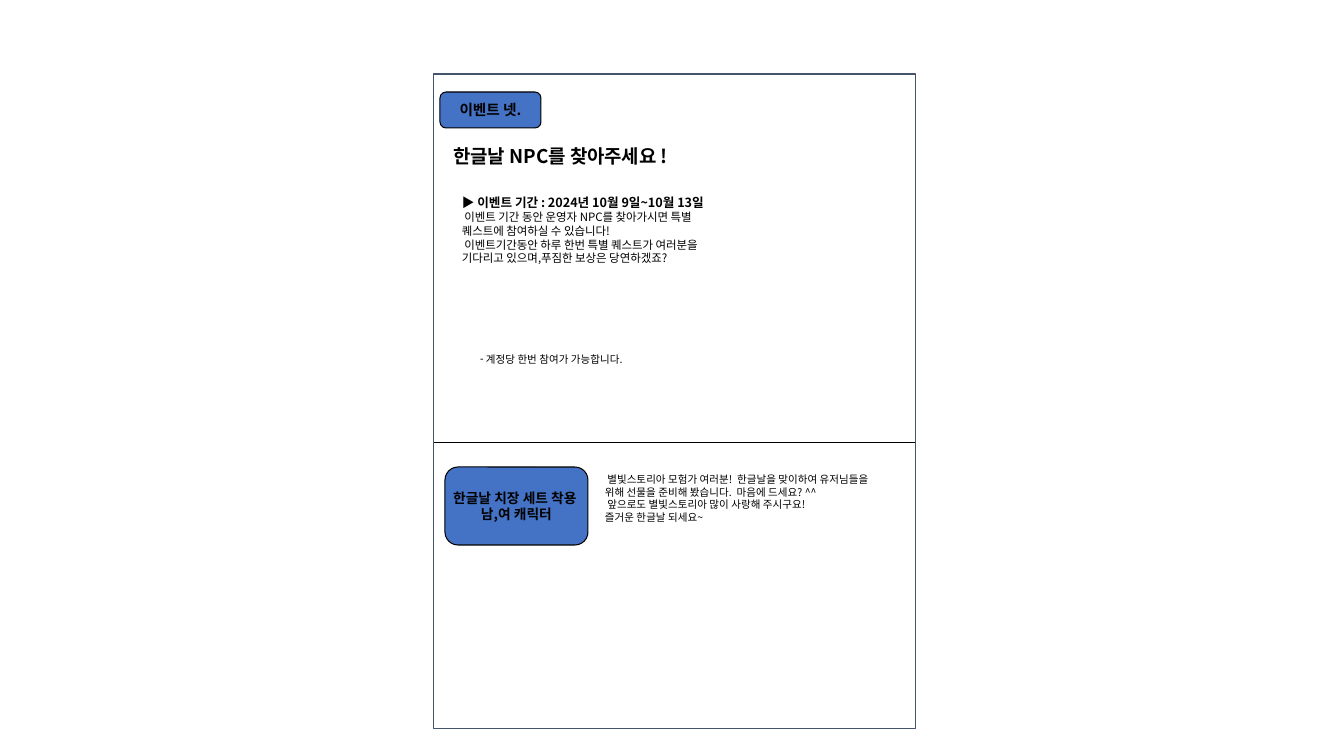
from lxml import etree
from pptx import Presentation
from pptx.dml.color import RGBColor
from pptx.enum.shapes import MSO_CONNECTOR, MSO_SHAPE
from pptx.enum.text import MSO_ANCHOR, MSO_AUTO_SIZE, PP_ALIGN
from pptx.oxml.ns import qn
from pptx.util import Pt

PX = 914400 / 100.8
FONT = "Noto Sans CJK KR"
BLACK = RGBColor(0, 0, 0)
BLUE = RGBColor(0x44, 0x72, 0xC4)
SLATE = RGBColor(0x44, 0x54, 0x6A)
LEFT, CENTER = PP_ALIGN.LEFT, PP_ALIGN.CENTER
TOP, MIDDLE = MSO_ANCHOR.TOP, MSO_ANCHOR.MIDDLE
RECTANGLE, ROUNDED = MSO_SHAPE.RECTANGLE, MSO_SHAPE.ROUNDED_RECTANGLE


def px(*lengths):
    return [round(length * PX) for length in lengths]


def write(box, lines, align=LEFT, anchor=TOP, wrap=True):
    """Fill a box with (text, size, bold) lines, one paragraph each."""
    frame = box.text_frame
    frame.word_wrap = wrap
    frame.auto_size = MSO_AUTO_SIZE.NONE
    frame.vertical_anchor = anchor
    frame.text = "\n".join(text for text, size, bold in lines)
    for para, (text, size, bold) in zip(frame.paragraphs, lines):
        para.alignment = align
        para.space_before = Pt(0)
        para.font.size = Pt(size)
        para.font.bold = bold
        para.font.color.rgb = BLACK
        para.font.name = FONT
        east_asian = etree.SubElement(para._p.pPr.find(qn("a:defRPr")), qn("a:ea"))
        east_asian.set("typeface", FONT)


deck = Presentation()
deck.slide_width, deck.slide_height = px(1344, 756)
page = deck.slides.add_slide(deck.slide_layouts[1])
title, note = page.placeholders

# Frame and divider
border = page.shapes.add_shape(RECTANGLE, *px(434, 74, 482, 655))
border.shadow.inherit = False
border.fill.background()
border.line.color.rgb = SLATE
border.line.width = Pt(0.75)

divider = page.shapes.add_connector(MSO_CONNECTOR.STRAIGHT, *px(434, 443, 915, 443))
divider.line.color.rgb = BLACK
divider.line.width = Pt(0.75)
etree.SubElement(divider._element.spPr, qn("a:effectLst"))

# Blue labels
labels = [
    ((440, 92, 101, 36), 10.5, ["이벤트 넷."]),
    ((445, 467, 143, 78), 9.8, ["한글날 치장 세트 착용 ", "남,여 캐릭터"]),
]
for place, size, texts in labels:
    label = page.shapes.add_shape(ROUNDED, *px(*place))
    label.shadow.inherit = False
    label.fill.solid()
    label.fill.fore_color.rgb = BLUE
    label.line.color.rgb = BLACK
    label.line.width = Pt(0.75)
    write(label, [(text, size, True) for text in texts], CENTER, MIDDLE, False)

# Event title and participation rule
title.left, title.top, title.width, title.height = px(439, 140, 471, 33)
write(title, [(" 한글날 NPC를 찾아주세요 !", 13.5, True)])

note.left, note.top, note.width, note.height = px(470, 348, 440, 23)
write(note, [(" 계정당 한번 참여가 가능합니다.", 7.5, False)])
note_format = note.text_frame.paragraphs[0]._p.pPr
note_format.set("marL", "0")
note_format.set("indent", "0")
dash = etree.Element(qn("a:buChar"), char="-")
note_format.find(qn("a:defRPr")).addprevious(dash)

# Event period and greeting
period = page.shapes.add_textbox(*px(452, 190, 280, 82))
write(period, [
    ("▶ 이벤트 기간 : 2024년 10월 9일~10월 13일", 9, True),
    (" 이벤트 기간 동안 운영자 NPC를 찾아가시면 특별 퀘스트에 참여하실 수 있습니다!", 8.2, False),
    (" 이벤트기간동안 하루 한번 특별 퀘스트가 여러분을 기다리고 있으며,푸짐한 보상은 당연하겠죠?", 8.2, False),
])
period_heading = period.text_frame.paragraphs[0]
period_heading.runs[0].text = "▶ "
period_heading.runs[0].font.bold = False
period_heading.add_run().text = "이벤트 기간 : 2024년 10월 9일~10월 13일"

greeting = page.shapes.add_textbox(*px(595, 468, 328, 61))
write(greeting, [(text, 7.5, False) for text in [
    " 별빛스토리아 모험가 여러분!  한글날을 맞이하여 유저님들을",
    "위해 선물을 준비해 봤습니다.  마음에 드세요? ^^",
    " 앞으로도 별빛스토리아 많이 사랑해 주시구요!",
    "즐거운 한글날 되세요~",
]])

deck.save("out.pptx")
